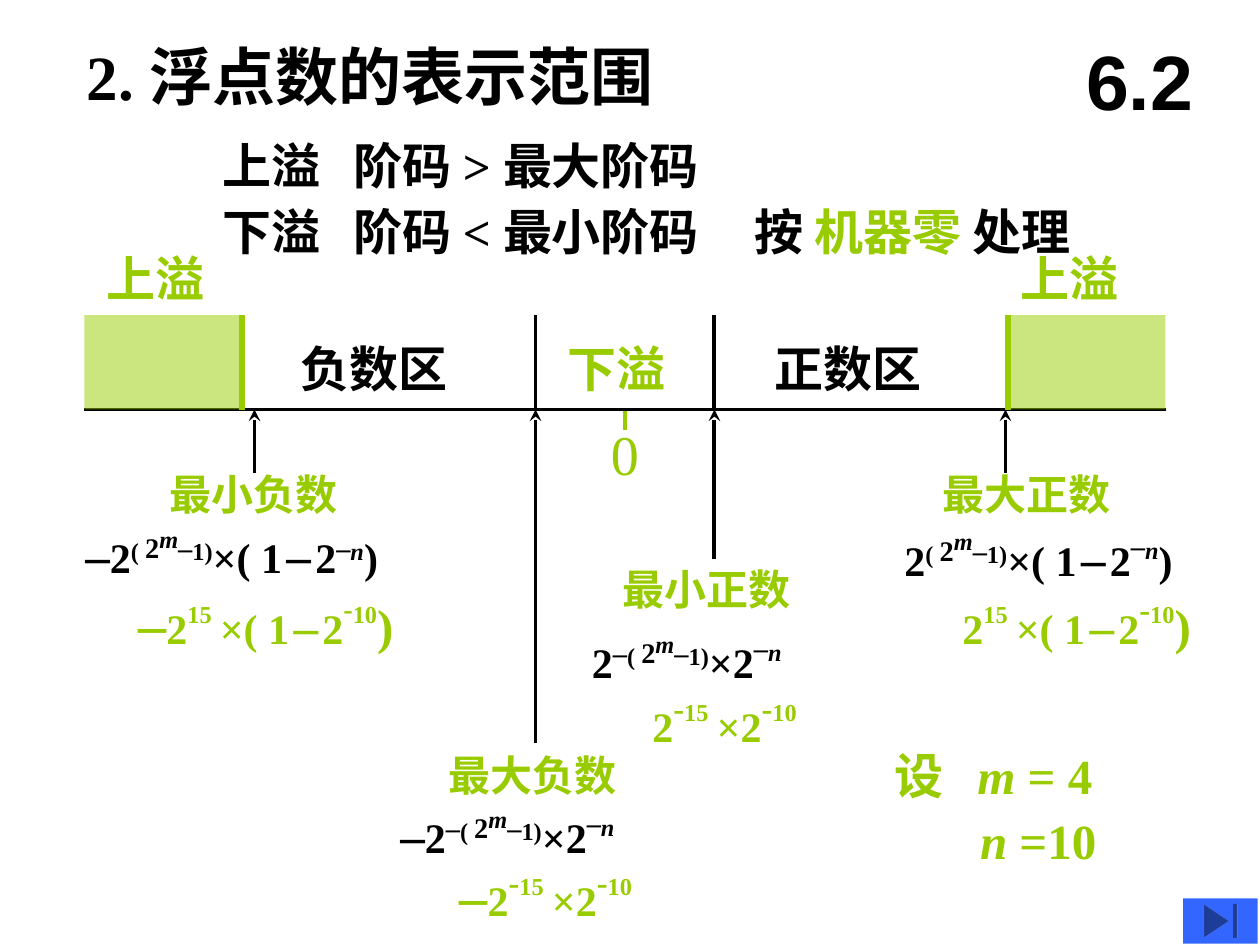
from lxml.etree import SubElement
from pptx import Presentation
from pptx.dml.color import RGBColor
from pptx.enum.shapes import MSO_CONNECTOR, MSO_SHAPE
from pptx.enum.text import MSO_ANCHOR, MSO_AUTO_SIZE, PP_ALIGN
from pptx.oxml.ns import qn
from pptx.util import Inches, Pt

BLACK = RGBColor(0x00, 0x00, 0x00)
GREEN = RGBColor(0x99, 0xCC, 0x00)
BLUE = RGBColor(0x33, 0x66, 0xFF)


class SlideBuilder:
    def __init__(self, slide, font="Times New Roman"):
        self.slide = slide
        self.font = font

    def format_run(self, run, size, color, bold=True, italic=False, font=None):
        run.font.name = font or self.font
        run.font.size = Pt(size)
        run.font.bold = bold
        run.font.italic = italic
        run.font.color.rgb = color

    def box(self, left, top, width, height, wrap=False):
        shape = self.slide.shapes.add_textbox(
            Inches(left), Inches(top), Inches(width), Inches(height))
        shape.text_frame.word_wrap = wrap
        shape.text_frame.auto_size = MSO_AUTO_SIZE.SHAPE_TO_FIT_TEXT
        return shape.text_frame

    def label(self, text, left, top, width, height, size, color, bold=True):
        frame = self.box(left, top, width, height)
        frame.text = text
        self.format_run(frame.paragraphs[0].runs[0], size, color, bold)

    def tab_stops(self, paragraph, positions):
        tab_list = SubElement(paragraph._p.get_or_add_pPr(), qn("a:tabLst"))
        for position in positions:
            SubElement(tab_list, qn("a:tab"), pos=str(Inches(position)), algn="l")

    def colored_runs(self, paragraph, parts, size):
        for text, color, italic in parts:
            run = paragraph.add_run()
            run.text = text
            self.format_run(run, size, color, italic=italic)

    def formula(self, parts, left, top, width, height, color):
        """Each part is text, size and baseline shift in percent."""
        paragraph = self.box(left, top, width, height, wrap=True).paragraphs[0]
        for text, size, shift in parts:
            run = paragraph.add_run()
            run.text = text
            self.format_run(run, size, color, italic=text in ("m", "n"))
            if shift:
                run._r.get_or_add_rPr().set("baseline", str(shift * 1000))

    def line(self, x1, y1, x2, y2, color=BLACK, weight=2.25, arrow=False):
        connector = self.slide.shapes.add_connector(
            MSO_CONNECTOR.STRAIGHT, Inches(x1), Inches(y1), Inches(x2), Inches(y2))
        connector.line.color.rgb = color
        connector.line.width = Pt(weight)
        properties = connector._element.spPr
        if arrow:
            SubElement(properties.find(qn("a:ln")), qn("a:tailEnd"), type="stealth")
        SubElement(properties, qn("a:effectLst"))

    def block(self, kind, left, top, width, height, color, opacity=100):
        shape = self.slide.shapes.add_shape(
            kind, Inches(left), Inches(top), Inches(width), Inches(height))
        shape.shadow.inherit = False
        shape.fill.solid()
        shape.fill.fore_color.rgb = color
        shape.line.fill.background()
        if opacity < 100:
            fill_color = shape._element.spPr.find(qn("a:solidFill"))[0]
            SubElement(fill_color, qn("a:alpha"), val=str(opacity * 1000))


# Pieces of the formulas
BASE = [("2", 24, 0)]
EXPONENT = [("( ", 24, 30), ("2", 28, 30), ("m", 24, 60), ("–", 28, 30), ("1)", 24, 30)]
ONE_MINUS = [("×( 1", 24, 0), (" ", 10, 0), ("–", 28, 0), (" ", 10, 0), ("2", 24, 0)]
TIMES_TWO = [("×2", 24, 0)]
FIFTEEN = [("15", 24, 50), (" ", 32, 30)]


def minus(size, shift=0):
    return [("–", size, shift)]


def large_general(shift):
    return (BASE + EXPONENT + ONE_MINUS + minus(28, shift)
            + [("n", 24, shift), (")", 24, 0)])


def large_example(size, shift):
    return (BASE + FIFTEEN + ONE_MINUS
            + [("-", size, shift), ("10", 24, 50), (")", 28, 0)])


SMALL_GENERAL = (BASE + minus(28, 30) + EXPONENT + TIMES_TWO
                 + minus(28, 40) + [("n", 24, 40)])
SMALL_EXAMPLE = (BASE + [("-", 32, 40)] + FIFTEEN + TIMES_TWO
                 + [("-", 32, 40), ("10", 24, 50)])


def main():
    presentation = Presentation()
    presentation.slide_width = Inches(10)
    presentation.slide_height = Inches(7.5)
    slide = presentation.slides.add_slide(presentation.slide_layouts[6])
    builder = SlideBuilder(slide)

    # Title
    builder.label("2. 浮点数的表示范围", 0.59, 0.25, 4.82, 0.7, 36, BLACK)

    # General formulas
    builder.formula(minus(28) + large_general(30), 0.58, 4.11, 3.25, 0.57, BLACK)
    builder.formula(minus(28) + SMALL_GENERAL, 3.08, 6.33, 2.67, 0.57, BLACK)
    builder.formula(large_general(40), 7.08, 4.13, 2.92, 0.57, BLACK)
    builder.formula(SMALL_GENERAL, 4.6, 4.94, 2.5, 0.57, BLACK)

    # Limits with arrows up to the axis
    axis_top, axis = 2.5, 3.25
    for text, left, top, x, start in (
            ("最小负数", 1.25, 3.67, 2.02, 3.75),
            ("最大负数", 3.46, 5.9, 4.25, 5.9),
            ("最大正数", 7.38, 3.67, 7.98, 3.75),
            ("最小正数", 4.84, 4.42, 5.67, 4.44)):
        builder.label(text, left, top, 1.55, 0.5, 24, GREEN)
        builder.line(x, start, x, axis, arrow=True)

    # Number axis and its zones
    builder.line(4.96, 3.41, 4.96, axis, GREEN)
    builder.line(0.67, axis, 9.25, axis)
    for x, color, weight in ((1.92, GREEN, 3), (4.25, BLACK, 2.25),
                             (5.67, BLACK, 2.25), (8, GREEN, 3)):
        builder.line(x, axis_top, x, axis, color, weight)
    for left in (0.67, 8):
        builder.block(MSO_SHAPE.RECTANGLE, left, axis_top, 1.25, axis - axis_top,
                      GREEN, opacity=50)
    for text, left, top, width, color in (
            ("负数区", 2.29, 2.64, 1.4, BLACK),
            ("正数区", 6.05, 2.64, 1.4, BLACK),
            ("下溢", 4.41, 2.64, 1, GREEN),
            ("上溢", 0.75, 1.92, 1, GREEN),
            ("上溢", 8, 1.92, 1, GREEN)):
        builder.label(text, left, top, width, 0.57, 28, color)
    builder.label("0", 4.75, 3.28, 0.42, 0.64, 32, GREEN, bold=False)

    # Worked examples
    builder.formula(minus(32) + large_example(28, 50), 1, 4.62, 2.83, 0.64, GREEN)
    builder.formula(minus(32) + SMALL_EXAMPLE, 3.55, 6.78, 2.42, 0.64, GREEN)
    builder.formula(large_example(32, 40), 7.54, 4.62, 2.83, 0.64, GREEN)
    builder.formula(SMALL_EXAMPLE, 5.08, 5.4, 2.42, 0.64, GREEN)

    # Assumed values
    paragraph = builder.box(7, 5.87, 2.83, 0.57, wrap=True).paragraphs[0]
    builder.tab_stops(paragraph, [0.66])
    builder.colored_runs(
        paragraph, [("设\t", GREEN, False), ("m", GREEN, True), (" = 4", GREEN, False)], 28)
    paragraph = builder.box(7.68, 6.38, 2.3, 0.57, wrap=True).paragraphs[0]
    builder.colored_runs(paragraph, [("n", GREEN, True), (" =10", GREEN, False)], 28)

    # Overflow and underflow rules
    frame = builder.box(1.67, 1.16, 7.42, 0.93, wrap=True)
    frame.margin_top = Inches(0.08)
    overflow, underflow = frame.paragraphs[0], frame.add_paragraph()
    for paragraph, parts in (
            (overflow, [("上溢\t阶码 > 最大阶码", BLACK, False)]),
            (underflow, [("下溢\t阶码 < 最小阶码\t按 ", BLACK, False),
                         ("机器零 ", GREEN, False), ("处理", BLACK, False)])):
        builder.tab_stops(paragraph, [1.04, 4.22])
        paragraph.line_spacing = 0.6
        builder.colored_runs(paragraph, parts, 28)
    underflow.space_before = Pt(17.5)

    # Section number
    frame = builder.box(8.42, 0.17, 1.25, 0.92, wrap=True)
    frame.auto_size = MSO_AUTO_SIZE.NONE
    frame.vertical_anchor = MSO_ANCHOR.MIDDLE
    frame.text = "6.2"
    frame.paragraphs[0].alignment = PP_ALIGN.CENTER
    builder.format_run(frame.paragraphs[0].runs[0], 44, BLACK, font="Arial")

    # Navigation button
    builder.block(MSO_SHAPE.ACTION_BUTTON_END, 9.39, 7.13, 0.59, 0.36, BLUE)

    presentation.save("out.pptx")


if __name__ == "__main__":
    main()
